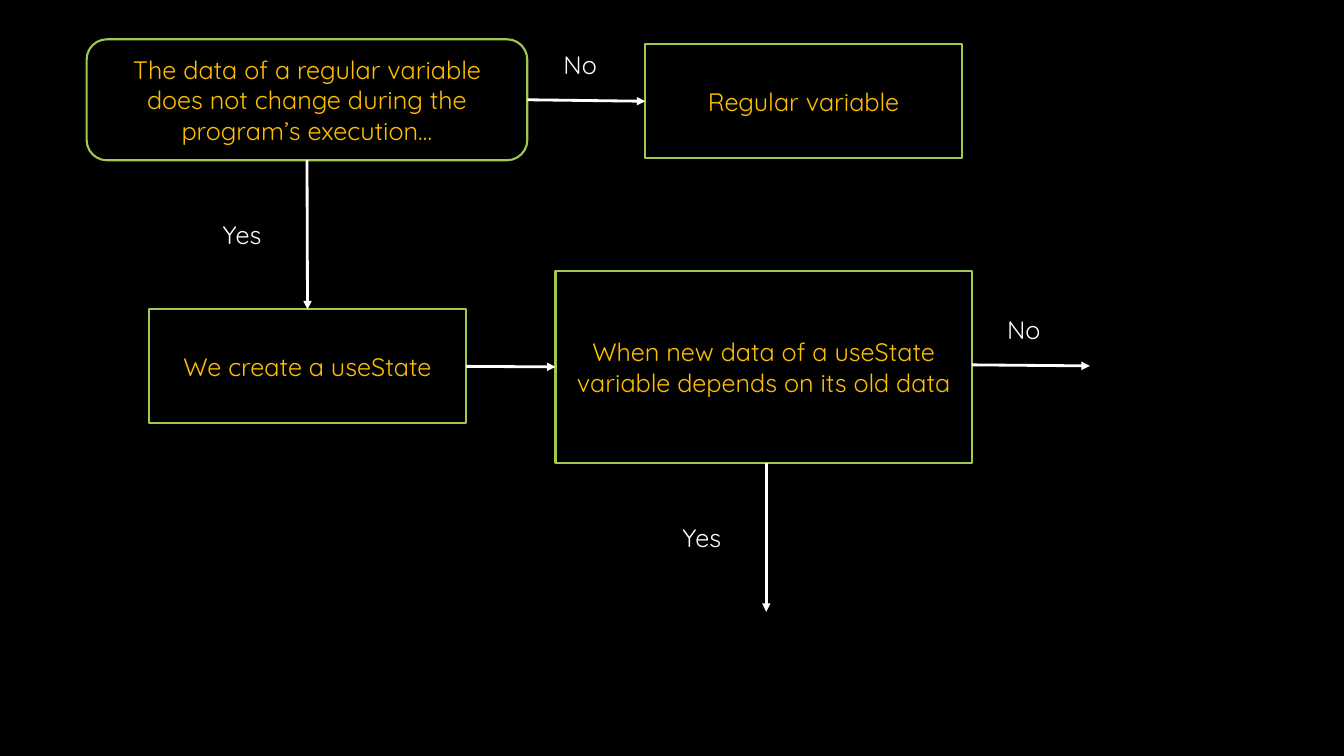
from pptx import Presentation
from pptx.dml.color import RGBColor
from pptx.enum.shapes import MSO_CONNECTOR, MSO_SHAPE
from pptx.enum.text import MSO_ANCHOR, MSO_AUTO_SIZE, PP_ALIGN
from pptx.oxml.ns import qn
from pptx.util import Inches, Pt
from lxml import etree

RECT, ROUND = MSO_SHAPE.RECTANGLE, MSO_SHAPE.ROUNDED_RECTANGLE
STRAIGHT = MSO_CONNECTOR.STRAIGHT
MIDDLE, TOP = MSO_ANCHOR.MIDDLE, MSO_ANCHOR.TOP
CENTER, LEFT = PP_ALIGN.CENTER, PP_ALIGN.LEFT
GROW = MSO_AUTO_SIZE.SHAPE_TO_FIT_TEXT

FONT = "Quicksand"
COLORS = {"back": "000000", "edge": "A2C84E", "step": "FFC000", "white": "FFFFFF"}

# name: (preset, left, top, width, height, text)
STEPS = {
    "change": (ROUND, 0.86, 0.39, 4.37, 1.2,
               "The data of a regular variable does not change "
               "during the program’s execution…"),
    "state": (RECT, 1.48, 3.07, 3.14, 1.13, "We create a useState"),
    "depends": (RECT, 5.51, 2.69, 4.13, 1.9,
                "When new data of a useState variable depends on its old data"),
    "regular": (RECT, 6.4, 0.44, 3.14, 1.13, "Regular variable"),
}
# Connection sites of a box
SITES = {"top": 0, "left": 1, "bottom": 2, "right": 3}
LINKS = [
    ("change", "bottom", "state", "top"),
    ("change", "right", "regular", "left"),
    ("state", "right", "depends", "left"),
]
# Arrows that lead on to steps not yet shown: start, end
OPEN = [((7.6, 4.59), (7.6, 6.07)), ((9.64, 3.62), (10.81, 3.63))]
# text, left, top, width
LABELS = [
    ("Yes", 2.11, 2.13, 0.61),
    ("No", 5.49, 0.44, 0.55),
    ("Yes", 6.67, 5.13, 0.61),
    ("No", 9.89, 3.07, 0.55),
]


def color(name):
    return RGBColor.from_string(COLORS[name])


def write(shape, text, tint="white", align=LEFT, anchor=TOP, wrap=False):
    frame = shape.text_frame
    frame.word_wrap = wrap
    frame.vertical_anchor = anchor
    para = frame.paragraphs[0]
    para.alignment = align
    run = para.add_run()
    run.text = text
    run.font.name = FONT
    run.font.size = Pt(18)
    run.font.color.rgb = color(tint)


def add_step(slide, kind, left, top, width, height, text):
    box = slide.shapes.add_shape(
        kind, Inches(left), Inches(top), Inches(width), Inches(height))
    box.shadow.inherit = False
    box.fill.background()
    box.line.color.rgb = color("edge")
    box.line.width = Pt(1.5)
    write(box, text, tint="step", align=CENTER, anchor=MIDDLE, wrap=True)
    return box


def add_arrow(slide, start=(0, 0), end=(0, 0)):
    ends = [Inches(v) for v in (*start, *end)]
    arrow = slide.shapes.add_connector(STRAIGHT, *ends)
    arrow.line.color.rgb = color("white")
    arrow.line.width = Pt(2)
    line = arrow.line._get_or_add_ln()
    etree.SubElement(line, qn("a:tailEnd"), type="triangle")
    etree.SubElement(arrow._element.spPr, qn("a:effectLst"))
    return arrow


def main():
    deck = Presentation()
    deck.slide_width, deck.slide_height = Inches(13.33), Inches(7.5)
    slide = deck.slides.add_slide(deck.slide_layouts.get_by_name("Blank"))
    slide.background.fill.solid()
    slide.background.fill.fore_color.rgb = color("back")

    boxes = {name: add_step(slide, *step) for name, step in STEPS.items()}
    for source, out, target, into in LINKS:
        arrow = add_arrow(slide)
        arrow.begin_connect(boxes[source], SITES[out])
        arrow.end_connect(boxes[target], SITES[into])
    for start, end in OPEN:
        add_arrow(slide, start, end)
    for text, left, top, width in LABELS:
        label = slide.shapes.add_textbox(
            Inches(left), Inches(top), Inches(width), Inches(0.4))
        write(label, text)
        label.text_frame.auto_size = GROW

    deck.save("out.pptx")


if __name__ == "__main__":
    main()
